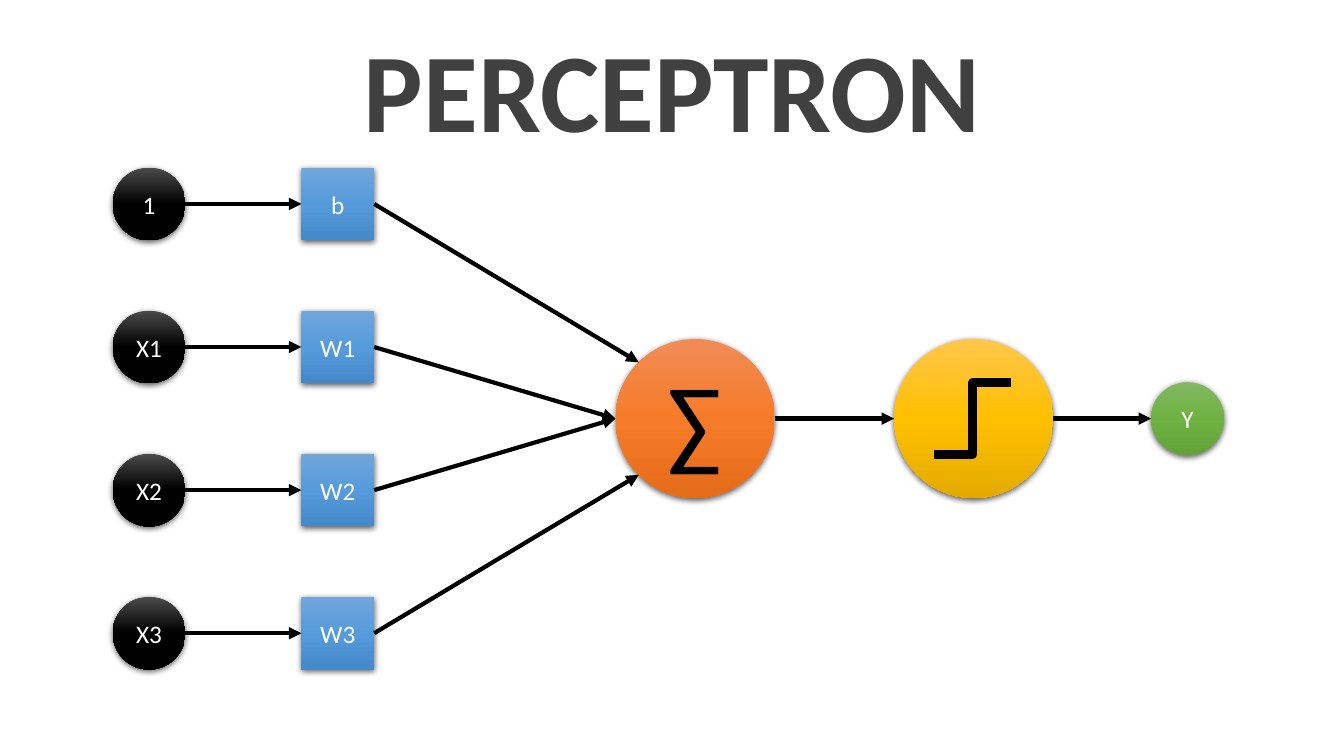
from copy import deepcopy
from math import sqrt

from pptx import Presentation
from pptx.dml.color import RGBColor
from pptx.enum.shapes import MSO_CONNECTOR, MSO_SHAPE
from pptx.enum.text import MSO_ANCHOR, MSO_AUTO_SIZE, PP_ALIGN
from pptx.oxml import parse_xml
from pptx.oxml.ns import nsdecls, qn
from pptx.util import Pt

# Content
TITLE = "PERCEPTRON"
ROWS = [("1", "b"), ("X1", "W1"), ("X2", "W2"), ("X3", "W3")]
SUM_SIGN = "\u2211"
OUTPUT = "Y"

# Colours
BLACK = RGBColor(0x00, 0x00, 0x00)
WHITE = RGBColor(0xFF, 0xFF, 0xFF)
TITLE_GREY = RGBColor(0x40, 0x40, 0x40)
INPUT_BLACK = (RGBColor(0x4B, 0x4B, 0x4B), BLACK, BLACK)
WEIGHT_BLUE = tuple(map(RGBColor.from_string, ("71A6DB", "559BDB", "448ACA")))
SUM_ORANGE = tuple(map(RGBColor.from_string, ("F18C57", "F67B28", "E56C19")))
STEP_YELLOW = tuple(map(RGBColor.from_string, ("FFC64B", "FFC000", "E3AB00")))
OUTPUT_GREEN = tuple(map(RGBColor.from_string, ("81B861", "6FB242", "62A336")))

# Layout in points: every node is placed by its centre
AXIS_Y = 299
ROW_PITCH = 102.2
NODE, BIG_NODE = 52, 113.6
INPUT_X, WEIGHT_X, SUM_X, STEP_X, OUTPUT_X = 106.5, 241.3, 496.5, 695.5, 848.3
STEP_WIDTH, STEP_HEIGHT = 54.6, 51.6
FONT = "Calibri"
LABEL = {"name": FONT, "size": Pt(18), "bold": False}
SIGMA = {"name": FONT, "size": Pt(72), "bold": False}
HEADING = {"name": FONT, "size": Pt(80), "bold": True}

SHADOW = (
    f'<a:outerShdw {nsdecls("a")} blurRad="57150" dist="19050" dir="5400000" '
    'algn="ctr" rotWithShape="0"><a:srgbClr val="000000">'
    '<a:alpha val="63000"/></a:srgbClr></a:outerShdw>'
)


def write(shape, text, font_format, color):
    """Put one centred line of text into a shape."""
    paragraph = shape.text_frame.paragraphs[0]
    paragraph.alignment = PP_ALIGN.CENTER
    run = paragraph.add_run()
    run.text = text
    for name, value in font_format.items():
        setattr(run.font, name, value)
    run.font.color.rgb = color


def add_node(preset, x, y, size, colors, text="", font_format=LABEL, color=WHITE):
    """Add a shaded, shadowed node centred on (x, y)."""
    shape = slide.shapes.add_shape(
        preset, Pt(x - size / 2), Pt(y - size / 2), Pt(size), Pt(size))
    shape.line.fill.background()
    shape.fill.gradient()
    shape.fill.gradient_angle = 270
    stop_list = shape.element.spPr.find(".//" + qn("a:gsLst"))
    stop_list.append(deepcopy(stop_list[-1]))
    for stop, position, stop_color in zip(
            shape.fill.gradient_stops, (0, 0.5, 1), colors):
        stop.position = position
        stop.color.rgb = stop_color
    shape.shadow.inherit = False
    shape.element.spPr.find(qn("a:effectLst")).append(parse_xml(SHADOW))
    shape.text_frame.vertical_anchor = MSO_ANCHOR.MIDDLE
    shape.text_frame.word_wrap = False
    if text:
        write(shape, text, font_format, color)


def add_line(start, end, width=3, kind=MSO_CONNECTOR.STRAIGHT, arrow=True):
    """Add a black connector, with an arrowhead at its end if wanted."""
    connector = slide.shapes.add_connector(
        kind, *(Pt(value) for value in (*start, *end)))
    connector.line.color.rgb = BLACK
    connector.line.width = Pt(width)
    if arrow:
        connector.line._get_or_add_ln().append(
            parse_xml(f'<a:tailEnd {nsdecls("a")} type="triangle"/>'))
    connector.element.spPr.append(parse_xml(f'<a:effectLst {nsdecls("a")}/>'))


presentation = Presentation()
presentation.slide_width, presentation.slide_height = Pt(960), Pt(540)
slide = presentation.slides.add_slide(presentation.slide_layouts[6])

half, big_half = NODE / 2, BIG_NODE / 2
diagonal = big_half / sqrt(2)
sum_left = (SUM_X - big_half, AXIS_Y)
sum_entries = [
    (SUM_X - diagonal, AXIS_Y - diagonal),
    sum_left,
    sum_left,
    (SUM_X - diagonal, AXIS_Y + diagonal),
]

# Nodes
row_centers = [AXIS_Y + (row - (len(ROWS) - 1) / 2) * ROW_PITCH
               for row in range(len(ROWS))]
for (input_text, weight_text), y in zip(ROWS, row_centers):
    add_node(MSO_SHAPE.OVAL, INPUT_X, y, NODE, INPUT_BLACK, input_text)
    add_node(MSO_SHAPE.RECTANGLE, WEIGHT_X, y, NODE, WEIGHT_BLUE, weight_text)
add_node(MSO_SHAPE.OVAL, SUM_X, AXIS_Y, BIG_NODE, SUM_ORANGE, SUM_SIGN, SIGMA, BLACK)
add_node(MSO_SHAPE.OVAL, STEP_X, AXIS_Y, BIG_NODE, STEP_YELLOW)
add_node(MSO_SHAPE.OVAL, OUTPUT_X, AXIS_Y, NODE, OUTPUT_GREEN, OUTPUT)

# Step function sign and arrows
add_line((STEP_X - 28, AXIS_Y + STEP_HEIGHT / 2),
         (STEP_X - 28 + STEP_WIDTH, AXIS_Y - STEP_HEIGHT / 2),
         width=6, kind=MSO_CONNECTOR.ELBOW, arrow=False)
for y, entry in zip(row_centers, sum_entries):
    add_line((INPUT_X + half, y), (WEIGHT_X - half, y))
    add_line((WEIGHT_X + half, y), entry)
add_line((SUM_X + big_half, AXIS_Y), (STEP_X - big_half, AXIS_Y))
add_line((STEP_X + big_half, AXIS_Y), (OUTPUT_X - half, AXIS_Y))

# Title
title = slide.shapes.add_textbox(Pt(250.6), Pt(10.8), Pt(459.4), Pt(104.4))
title.text_frame.word_wrap = False
title.text_frame.auto_size = MSO_AUTO_SIZE.SHAPE_TO_FIT_TEXT
write(title, TITLE, HEADING, TITLE_GREY)

presentation.save("out.pptx")
